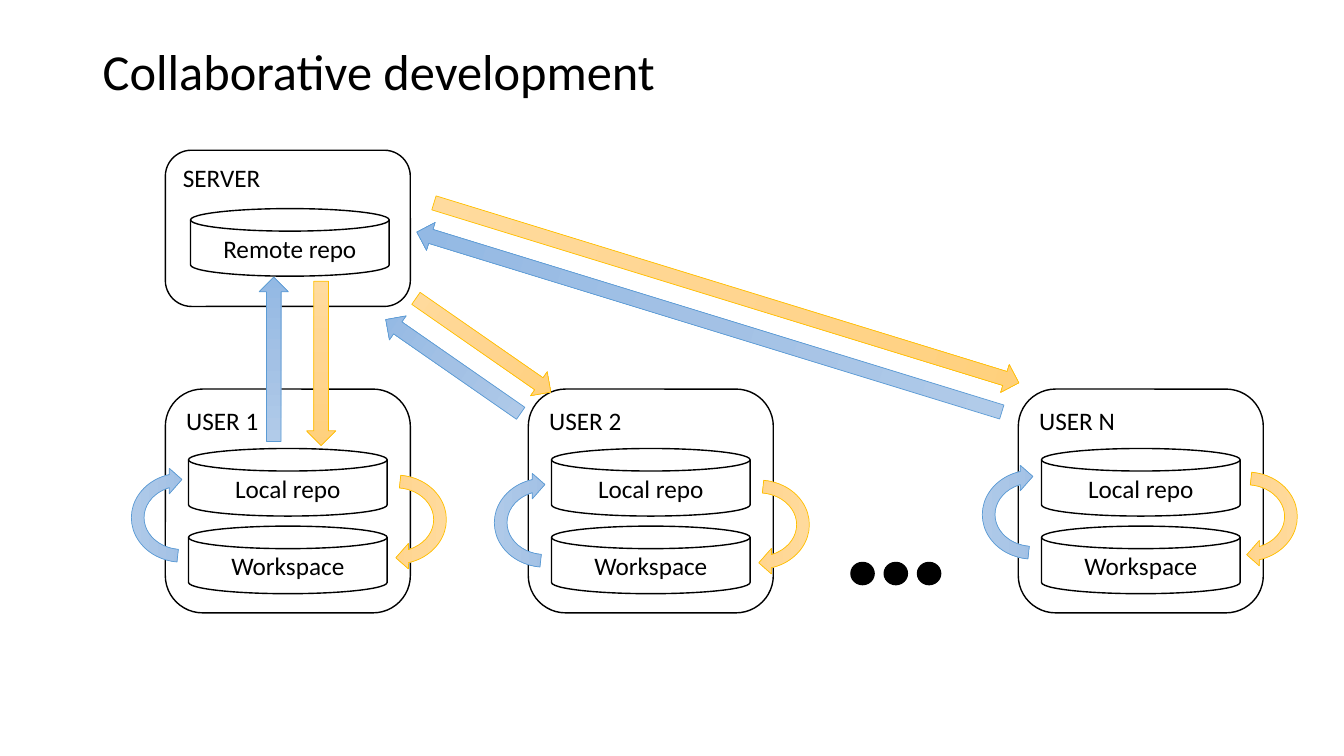
from copy import deepcopy

from pptx import Presentation
from pptx.dml.color import RGBColor
from pptx.enum.shapes import MSO_SHAPE
from pptx.enum.text import MSO_ANCHOR, PP_ALIGN
from pptx.oxml.ns import qn
from pptx.util import Inches, Pt

ROUND_RECT = MSO_SHAPE.ROUNDED_RECTANGLE
DISK = MSO_SHAPE.FLOWCHART_MAGNETIC_DISK
DOWN_ARROW = MSO_SHAPE.DOWN_ARROW
LOOP_ARROW = MSO_SHAPE.CIRCULAR_ARROW
OVAL = MSO_SHAPE.OVAL
TOP, MIDDLE = MSO_ANCHOR.TOP, MSO_ANCHOR.MIDDLE
LEFT, CENTER = PP_ALIGN.LEFT, PP_ALIGN.CENTER

BLACK = RGBColor(0x00, 0x00, 0x00)
WHITE = RGBColor(0xFF, 0xFF, 0xFF)
GOLD = RGBColor(0xFF, 0xC0, 0x00)
BLUE = RGBColor(0x5B, 0x9B, 0xD5)
GOLD_STOPS = (RGBColor(0xFF, 0xDB, 0x9E), RGBColor(0xFF, 0xD5, 0x90), RGBColor(0xFF, 0xD0, 0x7C))
BLUE_STOPS = (RGBColor(0xB1, 0xCB, 0xE9), RGBColor(0xA3, 0xC1, 0xE5), RGBColor(0x93, 0xB9, 0xE4))
PULL = (GOLD, GOLD_STOPS)
PUSH = (BLUE, BLUE_STOPS)

BOX_W, USER_H, SERVER_H = 2.43, 2.22, 1.55
DISK_W, DISK_H = 1.97, 0.67
LOOP_W, LOOP_H = 1.01, 1.13
LOOP_ADJUSTMENTS = (0.125, 11.42, 204.58, 111.85, 0.125)
ARROW_W = 0.29


def write(sp, text, size=18, anchor=TOP, align=LEFT, spacing=1.0):
    tf = sp.text_frame
    tf.word_wrap = True
    tf.vertical_anchor = anchor
    p = tf.paragraphs[0]
    p.alignment = align
    p.line_spacing = spacing
    r = p.add_run()
    r.text = text
    r.font.name = "Calibri"
    r.font.size = Pt(size)
    r.font.color.rgb = BLACK


def add_shape(shapes, kind, x, y, w, h, fill=WHITE, line=BLACK, width=1):
    sp = shapes.add_shape(kind, Inches(x), Inches(y), Inches(w), Inches(h))
    sp.shadow.inherit = False
    sp.fill.solid()
    sp.fill.fore_color.rgb = fill
    sp.line.color.rgb = line
    sp.line.width = Pt(width)
    return sp


def add_arrow(shapes, kind, x, y, w, h, style, rotation):
    line, colors = style
    sp = add_shape(shapes, kind, x, y, w, h, line=line, width=0.5)
    sp.rotation = rotation
    sp.fill.gradient()
    sp.fill.gradient_angle = 270
    stops = sp._element.spPr.find(qn("a:gradFill")).find(qn("a:gsLst"))
    stops.insert(1, deepcopy(stops[0]))
    for stop, color, position in zip(sp.fill.gradient_stops, colors, (0, 0.5, 1)):
        stop.color.rgb = color
        stop.position = position
    return sp


def add_loop(shapes, x, y, style, rotation):
    sp = add_arrow(shapes, LOOP_ARROW, x, y, LOOP_W, LOOP_H, style, rotation)
    for i, value in enumerate(LOOP_ADJUSTMENTS):
        sp.adjustments[i] = value


def add_disk(shapes, x, y, text):
    sp = add_shape(shapes, DISK, x, y, DISK_W, DISK_H)
    write(sp, text, anchor=MIDDLE, align=CENTER)


def add_title(shapes, x, y, w, h):
    sp = shapes.add_textbox(Inches(x), Inches(y), Inches(w), Inches(h))
    write(sp, "Collaborative development", size=36, anchor=MIDDLE, spacing=0.9)


def add_server(shapes, x, y):
    write(add_shape(shapes, ROUND_RECT, x, y, BOX_W, SERVER_H), "SERVER")
    add_disk(shapes, x + 0.25, y + 0.58, "Remote repo")


def add_user(shapes, x, y, name, loop_dx, loop_dy):
    write(add_shape(shapes, ROUND_RECT, x, y, BOX_W, USER_H), name)
    for i, text in enumerate(("Local repo", "Workspace")):
        add_disk(shapes, x + 0.23, y + 0.59 + i * 0.77, text)
    add_loop(shapes, x + loop_dx, y + loop_dy, PUSH, 270)
    add_loop(shapes, x + loop_dx + 2.12, y + loop_dy + 0.02, PULL, 90)


def add_dots(shapes, x, y):
    group = shapes.add_group_shape()
    for i in range(3):
        add_shape(group.shapes, OVAL, x + i * 0.33, y, 0.23, 0.22, fill=BLACK)


def add_link(shapes, pull_at, push_at, length, angle):
    add_arrow(shapes, DOWN_ARROW, *pull_at, ARROW_W, length, PULL, angle)
    add_arrow(shapes, DOWN_ARROW, *push_at, ARROW_W, length, PUSH, (angle + 180) % 360)


prs = Presentation()
prs.slide_width, prs.slide_height = Inches(13.33), Inches(7.5)
shapes = prs.slides.add_slide(prs.slide_layouts[6]).shapes

add_title(shapes, 0.92, 0.4, 11.5, 0.67)
add_server(shapes, 1.64, 1.49)
for x, name, loop_dx, loop_dy in (
    (1.64, "USER 1", -0.34, 0.71),
    (5.24, "USER 2", -0.34, 0.76),
    (10.1, "USER N", -0.36, 0.68),
):
    add_user(shapes, x, 3.86, name, loop_dx, loop_dy)
add_dots(shapes, 8.44, 5.58)
for pull_at, push_at, length, angle in (
    ((3.04, 2.79), (2.57, 2.75), 1.63, 0),
    ((4.65, 2.61), (4.35, 2.82), 1.63, 304.8),
    ((7.06, -0.13), (6.89, 0.16), 6.07, 287.1),
):
    add_link(shapes, pull_at, push_at, length, angle)

prs.save("out.pptx")
